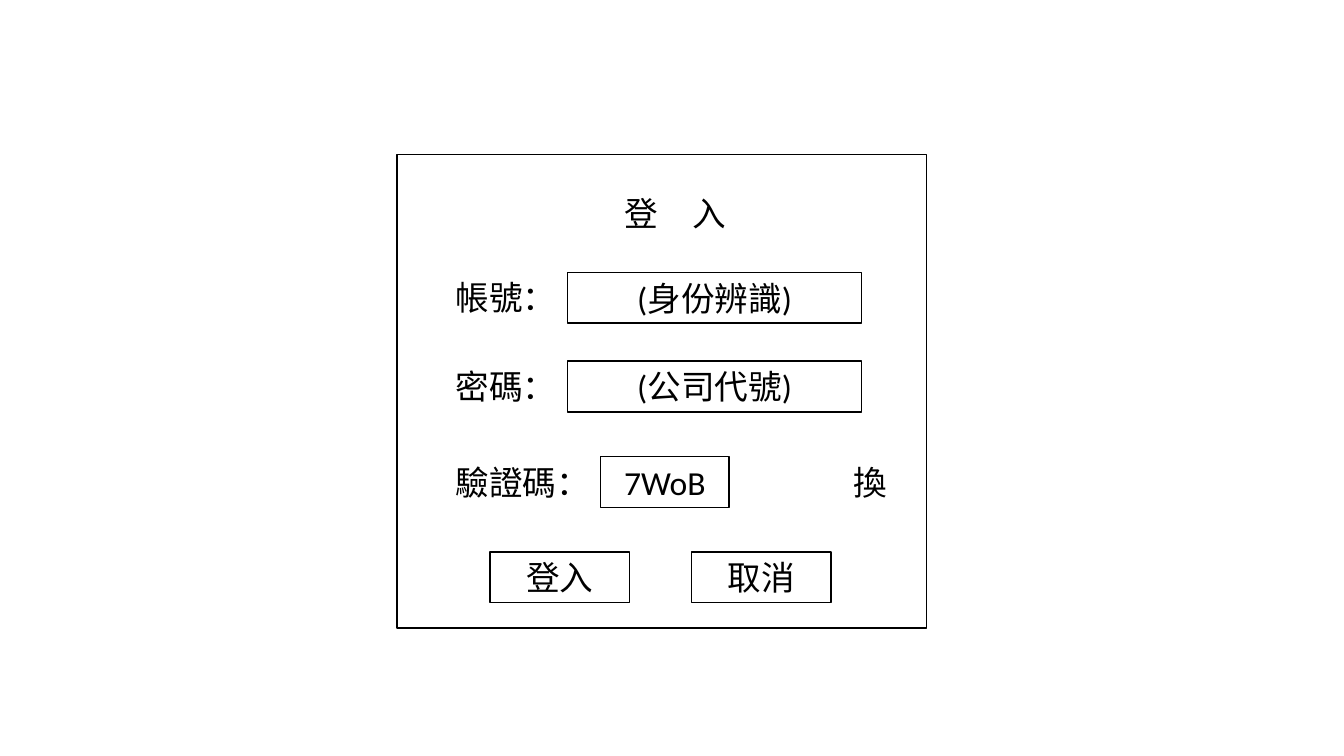
from pptx import Presentation
from pptx.dml.color import RGBColor
from pptx.enum.shapes import MSO_SHAPE
from pptx.enum.text import MSO_ANCHOR, MSO_AUTO_SIZE, PP_ALIGN
from pptx.util import Cm, Pt

COLORS = {"ink": "000000", "paper": "FFFFFF"}
HIGH = 1.28  # height of every field, label and button


def color(name):
    return RGBColor.from_string(COLORS[name])


def write(shape, text, align=PP_ALIGN.LEFT, anchor=MSO_ANCHOR.TOP, right=0.25):
    frame = shape.text_frame
    frame.word_wrap = True
    frame.auto_size = MSO_AUTO_SIZE.NONE
    frame.vertical_anchor = anchor
    frame.margin_left, frame.margin_right = Cm(0.25), Cm(right)
    frame.margin_top = frame.margin_bottom = Cm(0.13)
    para = frame.paragraphs[0]
    para.alignment = align
    run = para.add_run()
    run.text = text
    run.font.name = "Calibri"
    run.font.size = Pt(24)
    run.font.color.rgb = color("ink")


def add_box(slide, left, top, width, height=HIGH, text=None):
    box = slide.shapes.add_shape(
        MSO_SHAPE.RECTANGLE, Cm(left), Cm(top), Cm(width), Cm(height))
    box.shadow.inherit = False
    box.line.color.rgb = color("ink")
    box.line.width = Pt(1)
    if text:
        box.fill.solid()
        box.fill.fore_color.rgb = color("paper")
        write(box, text, PP_ALIGN.CENTER, MSO_ANCHOR.MIDDLE)
    else:
        box.fill.background()


def add_label(slide, left, top, width, text):
    label = slide.shapes.add_textbox(Cm(left), Cm(top), Cm(width), Cm(HIGH))
    write(label, text, right=0)


def add_head(slide, left, top, width):
    title = slide.shapes.title
    title.left, title.top = Cm(left), Cm(top)
    title.width, title.height = Cm(width), Cm(HIGH)
    write(title, "登　入", PP_ALIGN.CENTER)


def add_form(slide, left, top):
    # Label, label width, value, field offset, field width, row offset
    rows = [
        ("帳號：", 2.85, "(身份辨識)", 4.29, 7.42, 2.97),
        ("密碼：", 2.85, "(公司代號)", 4.29, 7.42, 5.21),
        ("驗證碼：", 3.7, "7WoB", 5.13, 3.23, 7.62),
    ]
    for name, wide, value, shift, width, drop in rows:
        add_label(slide, left + 1.22, top + drop, wide, name)
        add_box(slide, left + shift, top + drop, width, text=value)
    add_label(slide, left + 11.25, top + rows[-1][-1], 2.08, "換")


def add_buttons(slide, left, top):
    for index, text in enumerate(("登入", "取消")):
        add_box(slide, left + 5.08 * index, top, 3.51, text=text)


def add_login(slide, left, top, width, height):
    # Dialog frame
    add_box(slide, left, top, width, height)
    # Heading, input rows and buttons
    add_head(slide, left + 2.77, top + 0.84, 8.48)
    add_form(slide, left, top)
    add_buttons(slide, left + 2.34, top + 10.02)


def main():
    deck = Presentation()
    deck.slide_width, deck.slide_height = Cm(33.87), Cm(19.05)
    slide = deck.slides.add_slide(deck.slide_layouts[5])
    add_login(slide, 10.01, 3.89, 13.34, 11.94)
    deck.save("out.pptx")


if __name__ == "__main__":
    main()
